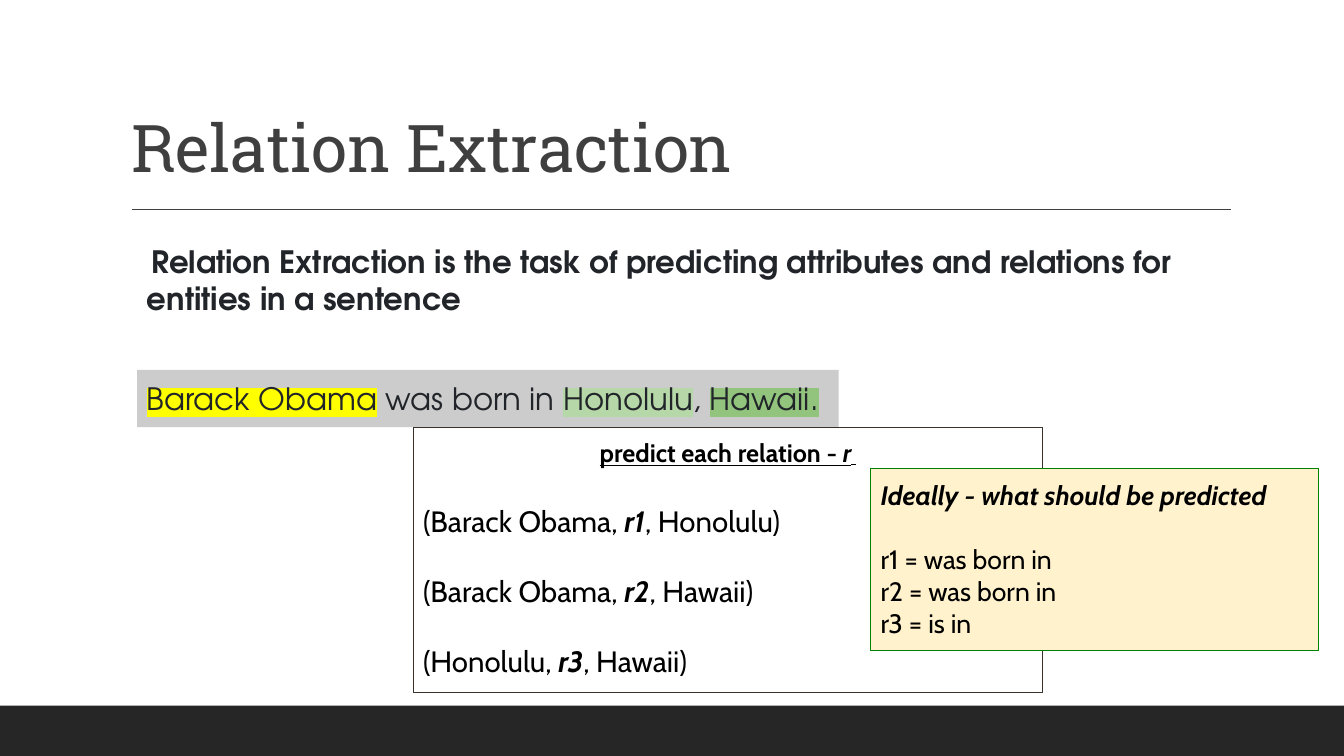
"""Build the Relation Extraction slide."""
from dataclasses import dataclass
from typing import Optional

from lxml.etree import SubElement
from pptx import Presentation
from pptx.dml.color import RGBColor
from pptx.enum.shapes import MSO_CONNECTOR, MSO_SHAPE
from pptx.enum.text import MSO_ANCHOR, MSO_AUTO_SIZE, PP_ALIGN
from pptx.oxml import parse_xml
from pptx.oxml.ns import nsdecls, qn
from pptx.util import Pt

BLACK = RGBColor(0x00, 0x00, 0x00)
FOOTER = RGBColor(0x26, 0x26, 0x26)
HEADING = RGBColor(0x3F, 0x3F, 0x3F)
BODY = RGBColor(0x21, 0x25, 0x29)
GREY = RGBColor(0xCC, 0xCC, 0xCC)
BROWN = RGBColor(0x39, 0x30, 0x2A)
CREAM = RGBColor(0xFF, 0xF2, 0xCC)
GREEN = RGBColor(0x00, 0x80, 0x00)
YELLOW = RGBColor(0xFF, 0xFF, 0x00)
LIGHT_GREEN = RGBColor(0xB6, 0xD7, 0xA8)
MID_GREEN = RGBColor(0x93, 0xC4, 0x7D)

CABIN = "Cabin"
ADVENTOR = "TeX Gyre Adventor"
SLAB = "Roboto Slab"


@dataclass(frozen=True)
class Run:
    text: str
    size: float
    font: str = CABIN
    color: RGBColor = BLACK
    bold: bool = False
    italic: bool = False
    underline: bool = False
    highlight: Optional[RGBColor] = None


@dataclass(frozen=True)
class Line:
    runs: tuple[Run, ...]
    align: PP_ALIGN = PP_ALIGN.LEFT
    before: float = 0
    indent: float = 0


@dataclass(frozen=True)
class Box:
    left: float
    top: float
    width: float
    height: float
    lines: tuple[Line, ...] = ()
    fill: Optional[RGBColor] = None
    outline: Optional[RGBColor] = None


def add_run(paragraph, item: Run) -> None:
    run = paragraph.add_run()
    run.text = item.text
    font = run.font
    font.size = Pt(item.size)
    font.name = item.font
    font.bold = item.bold
    font.italic = item.italic
    font.underline = item.underline
    font.color.rgb = item.color
    if item.highlight is not None:
        run._r.rPr.find(qn("a:solidFill")).addnext(parse_xml(
            f'<a:highlight {nsdecls("a")}><a:srgbClr val="{item.highlight}"/></a:highlight>'))


def fill_text(frame, lines: tuple[Line, ...]) -> None:
    for number, line in enumerate(lines):
        paragraph = frame.add_paragraph() if number else frame.paragraphs[0]
        paragraph.alignment = line.align
        if line.before:
            paragraph.space_before = Pt(line.before)
        if line.indent:
            paragraph._p.get_or_add_pPr().set("indent", str(Pt(line.indent)))
        for item in line.runs:
            add_run(paragraph, item)


def set_margins(frame, side: float, end: float) -> None:
    frame.margin_left = frame.margin_right = Pt(side)
    frame.margin_top = frame.margin_bottom = Pt(end)


def add_box(slide, box: Box) -> None:
    place = (Pt(box.left), Pt(box.top), Pt(box.width), Pt(box.height))
    if box.fill is None and box.outline is None:
        shape = slide.shapes.add_textbox(*place)
    else:
        shape = slide.shapes.add_shape(MSO_SHAPE.RECTANGLE, *place)
        shape.shadow.inherit = False
        if box.fill is None:
            shape.fill.background()
        else:
            shape.fill.solid()
            shape.fill.fore_color.rgb = box.fill
        if box.outline is None:
            shape.line.fill.background()
        else:
            shape.line.color.rgb = box.outline
            shape.line.width = Pt(0.75)
    frame = shape.text_frame
    frame.word_wrap = True
    frame.vertical_anchor = MSO_ANCHOR.TOP
    set_margins(frame, 7.2, 7.2)
    fill_text(frame, box.lines)


def add_title(slide, text: str) -> None:
    title = slide.shapes.title
    title.left, title.top, title.width, title.height = Pt(86.4), Pt(22.3), Pt(792), Pt(114.5)
    frame = title.text_frame
    frame.word_wrap = True
    frame.auto_size = MSO_AUTO_SIZE.NONE
    frame.vertical_anchor = MSO_ANCHOR.BOTTOM
    set_margins(frame, 7.2, 3.6)
    fill_text(frame, (Line((Run(text, 47, SLAB, HEADING),)),))
    frame.paragraphs[0].line_spacing = 0.9


def add_rule(slide) -> None:
    rule = slide.shapes.add_connector(
        MSO_CONNECTOR.STRAIGHT, Pt(94.3), Pt(149.5), Pt(879), Pt(149.5))
    rule.line.color.rgb = HEADING
    rule.line.width = Pt(1)
    SubElement(rule._element.spPr, qn("a:effectLst"))


def sentence_run(text: str, highlight: Optional[RGBColor] = None, bold: bool = False) -> Run:
    return Run(text, 22, ADVENTOR, BODY, bold=bold, highlight=highlight)


def triple(subject: str, relation: str, target: str) -> Line:
    return Line((Run(f"({subject}, ", 21), Run(relation, 21, bold=True, italic=True),
                 Run(f", {target})", 21)), before=25)


DEFINITION = Line((sentence_run(
    "Relation Extraction is the task of predicting attributes and relations for "
    "entities in a sentence", bold=True),), indent=3)
SENTENCE = Line((
    sentence_run("Barack Obama", YELLOW), sentence_run(" was born in "),
    sentence_run("Honolulu", LIGHT_GREEN), sentence_run(", "),
    sentence_run("Hawaii.", MID_GREEN)))
RELATIONS = (
    Line((Run("predict each relation - ", 18, bold=True, underline=True),
          Run("r", 18, bold=True, italic=True, underline=True),
          Run(" ", 14, underline=True)), PP_ALIGN.CENTER),
    triple("Barack Obama", "r1", "Honolulu"),
    triple("Barack Obama", "r2", "Hawaii"),
    triple("Honolulu", "r3", "Hawaii"))
ANSWERS = (
    Line((Run("Ideally - what should be predicted", 19, bold=True, italic=True),)),
    Line((Run("r1 = was born in", 19),), before=23),
    Line((Run("r2 = was born in", 19),)),
    Line((Run("r3 = is in", 19),)))
BOXES = (
    Box(0, 504, 960, 36, fill=FOOTER),
    Box(97.9, 166.3, 771.1, 67.7, (DEFINITION,)),
    Box(97.9, 264.2, 501.1, 41, (SENTENCE,), GREY),
    Box(295.2, 305.3, 449.3, 189.4, RELATIONS, outline=BROWN),
    Box(622, 335, 319.7, 129.6, ANSWERS, CREAM, GREEN))


def main() -> None:
    presentation = Presentation()
    presentation.slide_width, presentation.slide_height = Pt(960), Pt(540)
    slide = presentation.slides.add_slide(presentation.slide_layouts[5])
    add_title(slide, "Relation Extraction")
    add_rule(slide)
    for box in BOXES:
        add_box(slide, box)
    presentation.save("out.pptx")


if __name__ == "__main__":
    main()
